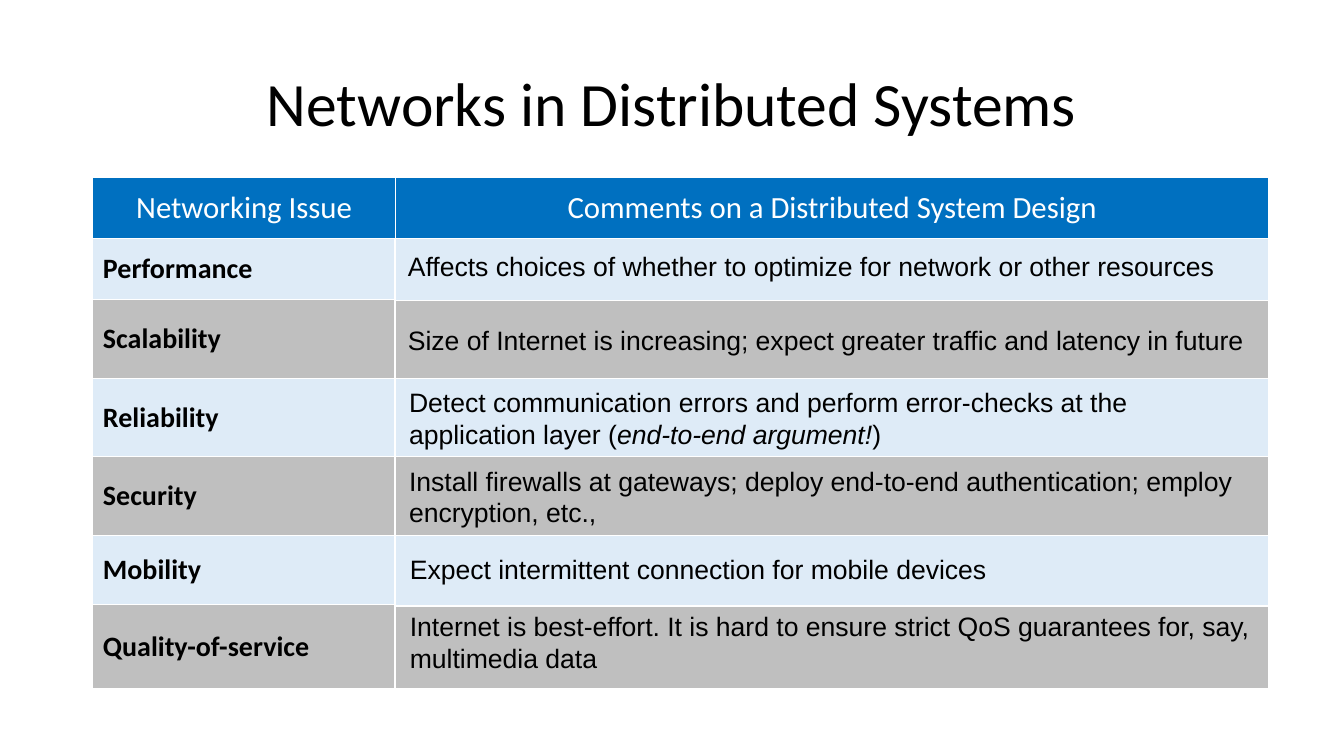
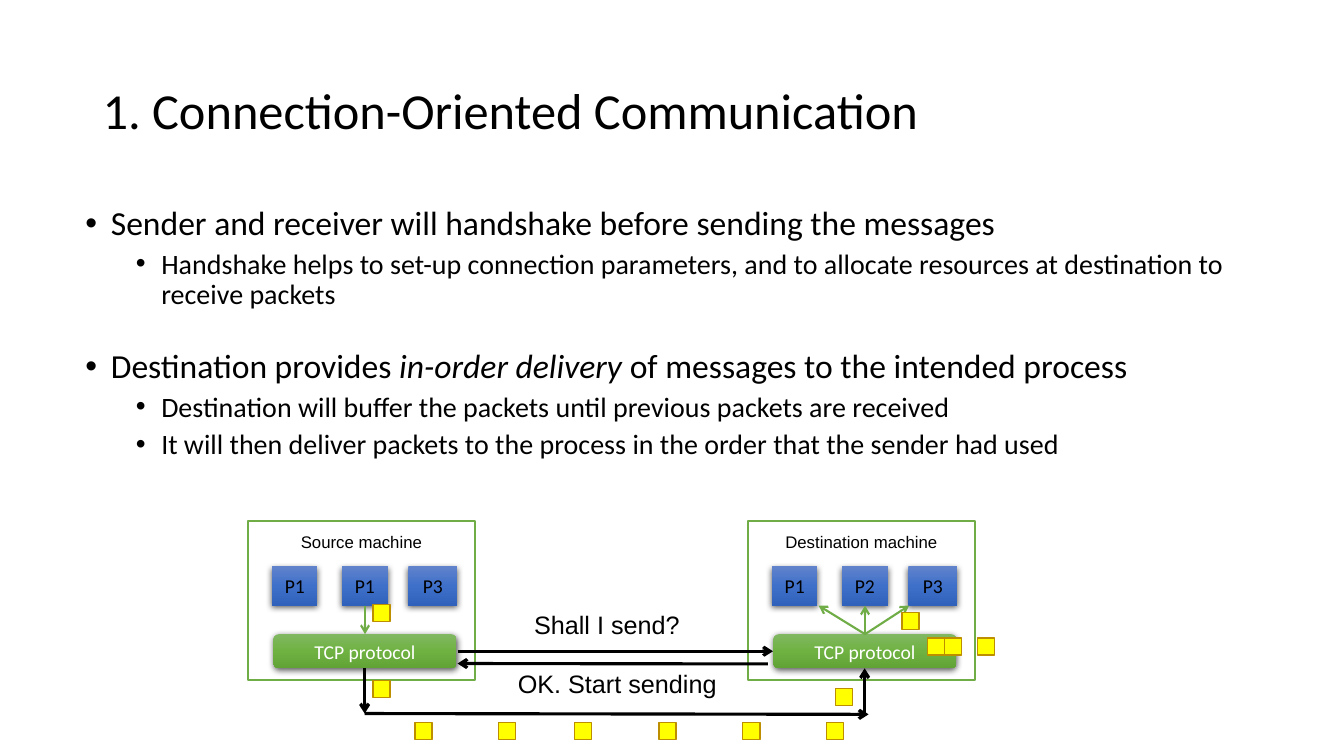
"""Builds two slides on networks in distributed systems."""
import pptx
import pptx.dml.color
import pptx.enum.shapes
import pptx.enum.text
import pptx.oxml
import pptx.oxml.ns
import pptx.util
from lxml import etree

Cm, Pt = pptx.util.Cm, pptx.util.Pt
qn = pptx.oxml.ns.qn
rgb = pptx.dml.color.RGBColor.from_string
ALIGN, ANCHOR = pptx.enum.text.PP_ALIGN, pptx.enum.text.MSO_ANCHOR
RECT = pptx.enum.shapes.MSO_SHAPE.RECTANGLE
ROUNDED = pptx.enum.shapes.MSO_SHAPE.ROUNDED_RECTANGLE
STRAIGHT = pptx.enum.shapes.MSO_CONNECTOR.STRAIGHT

BLACK, WHITE, GREEN = "000000", "FFFFFF", "70AD47"
BLUE, GREY, PALE, LAVENDER = "0070C0", "BFBFBF", "DEEBF7", "DAE3F3"
YELLOW, GOLD = "FFFF00", "BD8E00"
BLUE_GRADIENT = ("6183CB", "3E70CA", "3062BB")
GREEN_GRADIENT = ("81B861", "6FB242", "62A336")
HEADER = {"name": "Calibri", "size": Pt(22), "bold": False}
ISSUE = {"name": "Calibri", "size": Pt(20), "bold": True}
COMMENT = {"name": "Arial", "size": Pt(19)}
NODE = {"name": "Calibri", "size": Pt(14)}
LABEL = {"name": "Arial", "size": Pt(12)}
MESSAGE = {"name": "Arial", "size": Pt(18)}


def write(p, text, fmt, color=BLACK, align=ALIGN.LEFT):
    """Fill a paragraph; words between asterisks are italic."""
    p.alignment = align
    for i, part in enumerate(text.split("*")):
        r = p.add_run()
        r.text = part
        for key, value in fmt.items():
            setattr(r.font, key, value)
        r.font.italic = i % 2 == 1
        r.font.color.rgb = rgb(color)


def box(shapes, kind, at, fill, line=None):
    """Add a shape with a plain fill, or a shadowed one with a gradient."""
    sp = shapes.add_shape(kind, *map(Cm, at))
    sp.shadow.inherit = False
    if line:
        sp.line.color.rgb = rgb(line)
        sp.line.width = Pt(1)
    else:
        sp.line.fill.background()
    if isinstance(fill, str):
        sp.fill.solid()
        sp.fill.fore_color.rgb = rgb(fill)
        return sp
    sp.fill.gradient()
    sp.fill.gradient_angle = 270
    stops = sp._element.spPr.find(".//" + qn("a:gsLst"))
    stops.clear()
    for i, color in enumerate(fill):
        stop = etree.SubElement(stops, qn("a:gs"), pos=str(i * 50000))
        etree.SubElement(stop, qn("a:srgbClr"), val=color)
    effects = sp._element.spPr.find(qn("a:effectLst"))
    shadow = etree.SubElement(effects, qn("a:outerShdw"), blurRad="57150",
                              dist="19050", dir="5400000", algn="ctr", rotWithShape="0")
    tone = etree.SubElement(shadow, qn("a:srgbClr"), val=BLACK)
    etree.SubElement(tone, qn("a:alpha"), val="63000")
    return sp


prs = pptx.Presentation()
prs.slide_width, prs.slide_height = Cm(33.87), Cm(19.05)
slides = []
for layout, title, top, size, align in (
        (5, "Networks in Distributed Systems", 0.84, 44, ALIGN.CENTER),
        (1, "1. Connection-Oriented Communication", 1.02, 36, ALIGN.LEFT)):
    s = prs.slides.add_slide(prs.slide_layouts[layout])
    sp = s.shapes.title
    sp.left, sp.top, sp.width, sp.height = map(Cm, (2.33, top, 29.21, 3.68))
    tf = sp.text_frame
    tf.auto_size = pptx.enum.text.MSO_AUTO_SIZE.NONE
    tf.vertical_anchor = ANCHOR.MIDDLE
    tf.paragraphs[0].line_spacing = 0.9
    write(tf.paragraphs[0], title, {"name": "Calibri", "size": Pt(size)}, align=align)
    slides.append(s)
issues_slide, handshake_slide = slides

s = issues_slide
headings = ("Networking Issue", "Comments on a Distributed System Design")
issues = ("Performance", "Scalability", "Reliability", "Security", "Mobility", "Quality-of-service")
grid = [headings] + [("", "")] * len(issues)
for top, widths, heights, texts, fmt, first_fill in (
        (4.47, (7.62, 22.02), (1.55, 1.55, 1.96, 1.98, 1.98, 1.78, 2.08), grid, HEADER, LAVENDER),
        (6.02, (7.6,), (1.53, 1.98, 1.98, 1.98, 1.75, 2.11),
         [(issue,) for issue in issues], ISSUE, PALE)):
    table = s.shapes.add_table(len(heights), len(widths), Cm(2.34), Cm(top),
                               Cm(sum(widths)), Cm(sum(heights))).table
    has_header = table.first_row = texts is grid
    for j, width in enumerate(widths):
        table.columns[j].width = Cm(width)
    for i, height in enumerate(heights):
        table.rows[i].height = Cm(height)
        heading = has_header and i == 0
        banded = i % 2 == has_header
        for j, text in enumerate(texts[i]):
            cell = table.cell(i, j)
            cell.vertical_anchor = ANCHOR.MIDDLE
            for side in ("lnL", "lnR", "lnT", "lnB"):
                ln = etree.SubElement(cell._tc.get_or_add_tcPr(), qn("a:" + side), w=str(Pt(1)))
                tone = etree.SubElement(ln, qn("a:solidFill"))
                etree.SubElement(tone, qn("a:srgbClr"), val=WHITE)
            cell.fill.solid()
            light = PALE if j else first_fill
            cell.fill.fore_color.rgb = rgb(BLUE if heading else light if banded else GREY)
            if text:
                write(cell.text_frame.paragraphs[0], text, fmt, WHITE if heading else BLACK,
                      ALIGN.CENTER if heading else ALIGN.LEFT)

for at, fill, text in (
        ((10.03, 6.17, 20.96, 1.07), None,
         "Affects choices of whether to optimize for network or other resources"),
        ((10.03, 8.03, 22.02, 1.07), None,
         "Size of Internet is increasing; expect greater traffic and latency in future"),
        ((10.06, 9.6, 21.89, 1.88), PALE, "Detect communication errors and perform error-checks "
         "at the application layer (*end-to-end argument!*)"),
        ((10.06, 11.58, 21.69, 1.88), None, "Install firewalls at gateways; deploy end-to-end "
         "authentication; employ encryption, etc.,"),
        ((10.08, 13.82, 18.75, 1.07), None, "Expect intermittent connection for mobile devices"),
        ((10.08, 15.24, 21.87, 1.88), None, "Internet is best-effort. It is hard to ensure strict "
         "QoS guarantees for, say, multimedia data")):
    sp = box(s.shapes, RECT, at, fill) if fill else s.shapes.add_textbox(*map(Cm, at))
    tf = sp.text_frame
    tf.word_wrap = True
    tf.vertical_anchor = ANCHOR.TOP
    write(tf.paragraphs[0], text, COMMENT)

s = handshake_slide
sp = s.placeholders[1]
sp.left, sp.top, sp.width, sp.height = map(Cm, (1.9, 5.08, 30.05, 13))
tf = sp.text_frame
tf.auto_size = pptx.enum.text.MSO_AUTO_SIZE.NONE
for i, (level, before, text) in enumerate((
        (0, 10, "Sender and receiver will handshake before sending the messages"),
        (1, 5, "Handshake helps to set-up connection parameters, and to allocate "
               "resources at destination to receive packets"),
        (0, 28, "Destination provides *in-order delivery* of messages to the intended process"),
        (1, 5, "Destination will buffer the packets until previous packets are received"),
        (1, 5, "It will then deliver packets to the process in the order that the sender had used"))):
    p = tf.add_paragraph() if i else tf.paragraphs[0]
    p.level, p.space_before, p.line_spacing = level, Pt(before), 0.9
    write(p, text, {"name": "Calibri", "size": Pt(24 - 4 * level)})
    pPr = p._p.get_or_add_pPr()
    pPr.set("marL", str(Cm(0.64 + 1.27 * level)))
    pPr.set("indent", str(Cm(-0.64)))
    etree.SubElement(pPr, qn("a:buFont"), typeface="Arial")
    etree.SubElement(pPr, qn("a:buChar"), char="\u2022")

arrows, labels = [], []
for left, name, processes, links in (
        (18.85, "Destination machine", ("P1", "P2", "P3"),
         ((2.95, 15.98, 1.78, 15.26), (2.95, 15.98, 2.95, 15.26), (2.95, 15.98, 4.06, 15.26))),
        (6.25, "Source machine", ("P1", "P1", "P3"), ((2.95, 15.26, 2.95, 15.98),))):
    machine = s.shapes.add_group_shape().shapes
    box(machine, RECT, (left, 13.13, 5.72, 4.01), WHITE, GREEN)
    nodes = [(RECT, (left + x, 14.27, w, 0.99), BLUE_GRADIENT, process, BLACK)
             for x, w, process in zip((0.61, 2.36, 4.04), (1.14, 1.17, 1.24), processes)]
    nodes.append((ROUNDED, (left + 0.64, 15.98, 4.62, 0.86), GREEN_GRADIENT, "TCP protocol", WHITE))
    for kind, at, fill, text, color in nodes:
        tf = box(machine, kind, at, fill).text_frame
        tf.vertical_anchor = ANCHOR.MIDDLE
        write(tf.paragraphs[0], text, NODE, color, ALIGN.CENTER)
    arrows += [(machine, (left + x1, y1, left + x2, y2), GREEN, 1.5) for x1, y1, x2, y2 in links]
    labels.append((machine, (left, 13.28, 5.72, 0.76), name, LABEL, ALIGN.CENTER))

arrows += [(s.shapes, ends, BLACK, 2.25) for ends in (
    (21.79, 17.98, 21.79, 16.84), (9.19, 16.84, 9.19, 17.98), (11.53, 16.41, 19.48, 16.41),
    (19.35, 16.73, 11.53, 16.72), (9.19, 17.98, 21.89, 18))]
for shapes, ends, color, width in arrows:
    c = shapes.add_connector(STRAIGHT, *map(Cm, ends))
    c.line.color.rgb = rgb(color)
    c.line.width = Pt(width)
    etree.SubElement(c.line._get_or_add_ln(), qn("a:tailEnd"), type="arrow")
    etree.SubElement(c._element.spPr, qn("a:effectLst"))

labels += [(s.shapes, (13.21, 15.24, 4.65, 1.02), "Shall I send?", MESSAGE, ALIGN.LEFT),
           (s.shapes, (12.8, 16.71, 5.72, 1.02), "OK. Start sending", MESSAGE, ALIGN.LEFT)]
for shapes, at, text, fmt, align in labels:
    tf = shapes.add_textbox(*map(Cm, at)).text_frame
    tf.word_wrap = True
    write(tf.paragraphs[0], text, fmt, align=align)

in_transit = [(x, 18.21) for x in (10.46, 12.57, 14.48, 16.61, 18.72, 20.83)]
buffered = [(x, 16.08) for x in (23.37, 23.8, 24.64)]
for x, y in [(9.4, 15.24), (9.4, 17.15), *in_transit, (21.06, 17.35), *buffered, (22.73, 15.44)]:
    box(s.shapes, RECT, (x, y, 0.43, 0.43), YELLOW, GOLD)

prs.save("out.pptx")
